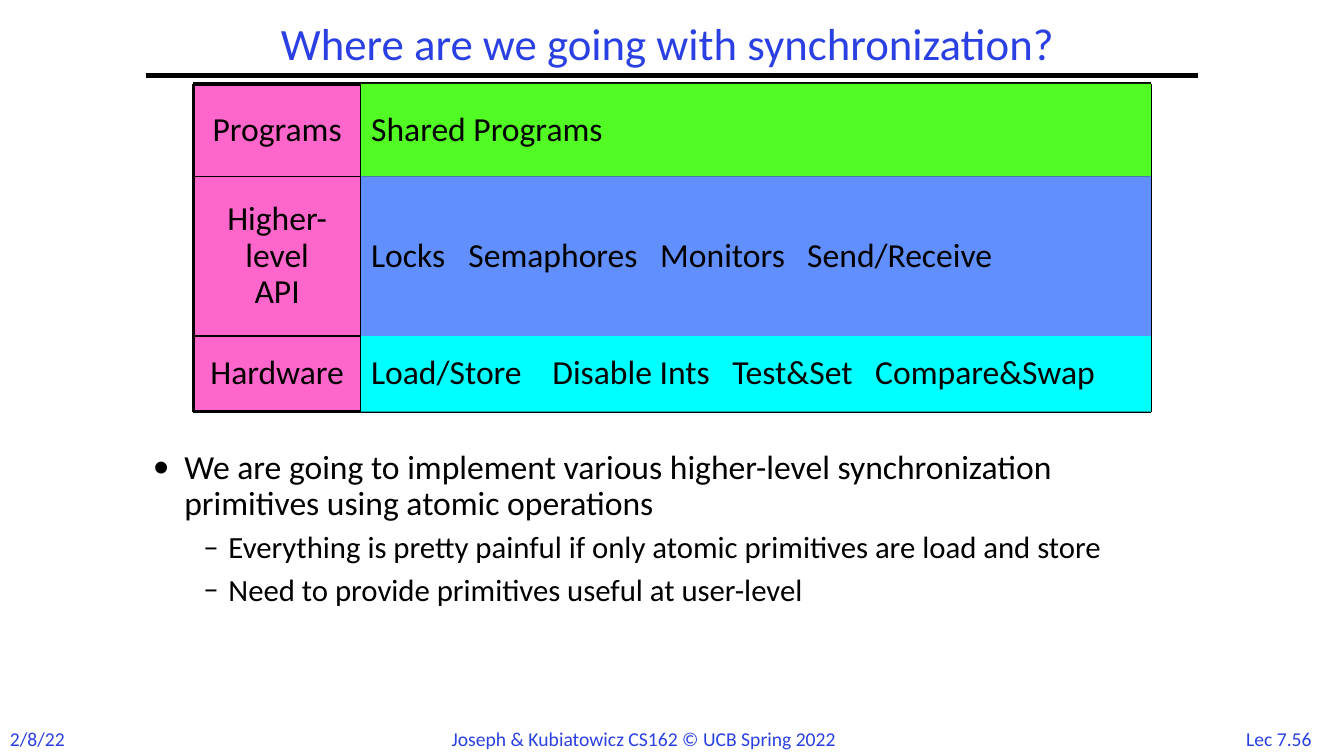
"""Build the synchronization roadmap slide."""
from lxml import etree
from pptx import Presentation
from pptx.dml.color import RGBColor
from pptx.enum.shapes import MSO_CONNECTOR, MSO_SHAPE
from pptx.enum.text import MSO_ANCHOR, MSO_AUTO_SIZE, PP_ALIGN
from pptx.oxml.ns import qn
from pptx.util import Pt

LEFT, CENTER = PP_ALIGN.LEFT, PP_ALIGN.CENTER
MIDDLE = MSO_ANCHOR.MIDDLE
RECT, STRAIGHT = MSO_SHAPE.RECTANGLE, MSO_CONNECTOR.STRAIGHT
NO_FIT, GROW = MSO_AUTO_SIZE.NONE, MSO_AUTO_SIZE.SHAPE_TO_FIT_TEXT
COLORS = {"black": "000000", "blue": "2A40E2", "pink": "FF66CC",
          "green": "53FB25", "periwinkle": "618FFD", "cyan": "00FFFF"}


def write(p, text, size, color="black", align=LEFT, spacing=0.9):
    p.alignment, p.line_spacing = align, spacing
    for i, line in enumerate(text.split("\n")):
        if i:
            p.add_line_break()
        r = p.add_run()
        r.text = line
        r.font.name, r.font.size = "Calibri", Pt(size)
        r.font.color.rgb = RGBColor.from_string(COLORS[color])


def draw_line(x1, y1, x2, y2, width):
    ln = s.shapes.add_connector(STRAIGHT, Pt(x1), Pt(y1), Pt(x2), Pt(y2))
    ln.line.width = Pt(width)
    ln.line.color.rgb = RGBColor.from_string(COLORS["black"])
    etree.SubElement(ln._element.spPr, qn("a:effectLst"))


prs = Presentation()
prs.slide_width, prs.slide_height = Pt(960), Pt(540)
s = prs.slides.add_slide(prs.slide_layouts[1])

title, body = s.shapes.title, s.placeholders[1]
for sp, box in ((title, (156, 12, 642, 42)), (body, (102, 318, 726, 168))):
    sp.left, sp.top, sp.width, sp.height = map(Pt, box)
    sp.text_frame.auto_size = NO_FIT
title.text_frame.vertical_anchor = MIDDLE
write(title.text_frame.paragraphs[0], "Where are we going with synchronization?",
      32, "blue", CENTER)

bullets = [
    (0, "We are going to implement various higher-level synchronization "
        "primitives using atomic operations"),
    (1, "Everything is pretty painful if only atomic primitives are load and store"),
    (1, "Need to provide primitives useful at user-level"),
]
levels = [("•", 22.5, -22.5, 24, 0), ("–", 54, -18, 22, 6.6)]
tf = body.text_frame
for i, (level, text) in enumerate(bullets):
    mark, margin, indent, size, before = levels[level]
    p = tf.add_paragraph() if i else tf.paragraphs[0]
    p.level = level
    write(p, text, size)
    p.space_before = Pt(before)
    pPr = p._p.get_or_add_pPr()
    pPr.set("marL", str(Pt(margin)))
    pPr.set("indent", str(Pt(indent)))
    etree.SubElement(pPr, qn("a:buFont"), typeface="Calibri")
    etree.SubElement(pPr, qn("a:buChar"), char=mark)

draw_line(104, 54, 856, 54, 3)

footers = [
    ("2/8/22", 0, 54, LEFT),
    ("Joseph & Kubiatowicz CS162 © UCB Spring 2022", 315.5, 327.5, LEFT),
    ("Lec 7.56", 878.5, 70, CENTER),
]
for text, x, width, align in footers:
    sp = s.shapes.add_textbox(Pt(x), Pt(515.5), Pt(width), Pt(24.5))
    sp.text_frame.word_wrap = False
    sp.text_frame.auto_size = GROW
    write(sp.text_frame.paragraphs[0], text, 14, "blue", align, 1.0)

xs = [138, 258, 822]
ys = [60, 126, 240, 294]
labels = [("Programs", "pink", []), ("Higher-level\nAPI", "pink", []),
          ("Hardware", "pink", [])]
contents = [
    ("Shared Programs", "green", []),
    ("Locks\tSemaphores\tMonitors\tSend/Receive", "periwinkle", [69.5, 206.5, 311.5]),
    ("Load/Store\tDisable Ints\tTest&Set\tCompare&Swap", "cyan", [129.5, 258, 360]),
]
for col, (cells, align) in enumerate(((labels, CENTER), (contents, LEFT))):
    for row, (text, fill, tabs) in enumerate(cells):
        sp = s.shapes.add_shape(RECT, Pt(xs[col]), Pt(ys[row]),
                                Pt(xs[col + 1] - xs[col]), Pt(ys[row + 1] - ys[row]))
        sp.shadow.inherit = False
        sp.fill.solid()
        sp.fill.fore_color.rgb = RGBColor.from_string(COLORS[fill])
        sp.line.fill.background()
        tf = sp.text_frame
        tf.word_wrap, tf.vertical_anchor = True, MIDDLE
        p = tf.paragraphs[0]
        write(p, text, 24, align=align)
        if tabs:
            tab_list = etree.SubElement(p._p.get_or_add_pPr(), qn("a:tabLst"))
            for pos in tabs:
                etree.SubElement(tab_list, qn("a:tab"), pos=str(Pt(pos)), algn="l")
    if col == 0:
        for y in ys:
            draw_line(xs[0], y, xs[-1], y, 2.25 if y in (ys[0], ys[-1]) else 1)
        for x in xs:
            draw_line(x, ys[0], x, ys[-1], 2.25 if x in (xs[0], xs[-1]) else 1)

prs.save("out.pptx")
